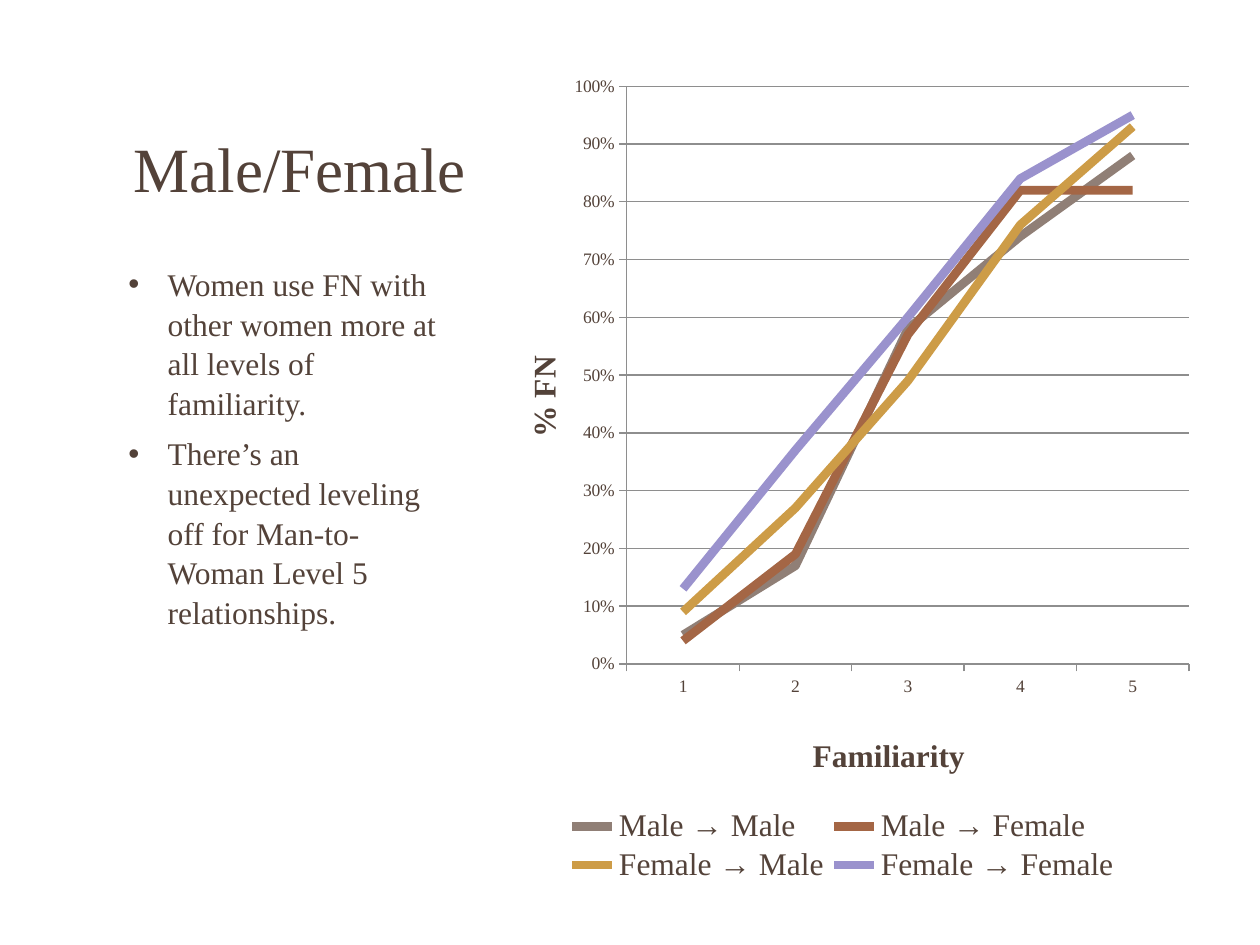
from lxml.etree import SubElement
from pptx import Presentation
from pptx.chart.data import CategoryChartData
from pptx.dml.color import RGBColor
from pptx.enum.chart import XL_CHART_TYPE as ChartType, XL_LEGEND_POSITION as LegendPos
from pptx.enum.chart import XL_MARKER_STYLE as Marker, XL_TICK_MARK as Tick
from pptx.enum.text import MSO_ANCHOR as Anchor, PP_ALIGN as Align
from pptx.oxml import parse_xml
from pptx.oxml.ns import nsdecls, qn
from pptx.util import Cm, Pt


def color(value):
    return RGBColor.from_string(value)


def apply(target, values):
    for name, value in values.items():
        setattr(target, name, value)


def place(parent, index, inner=False, **fractions):
    """Give a chart part a fixed place, in fractions of the chart."""
    for old in parent.findall(qn("c:layout")):
        parent.remove(old)
    target = '<c:layoutTarget val="inner"/>' if inner else ""
    modes = "".join(f'<c:{key}Mode val="edge"/>' for key in "xy")
    sizes = "".join(f'<c:{key} val="{value}"/>' for key, value in fractions.items())
    parent.insert(index, parse_xml(
        f'<c:layout {nsdecls("c")}><c:manualLayout>{target}{modes}{sizes}'
        "</c:manualLayout></c:layout>"))


class SlideBuilder:
    font = "Times New Roman"
    ink = "534239"
    grid = "8E8E8E"

    def __init__(self, page):
        self.page = page

    def style(self, font, size, bold=False):
        apply(font, {"name": self.font, "size": Pt(size), "bold": bold})
        font.color.rgb = color(self.ink)

    def text(self, place_cm, lines, size, frame_format, para_format, bullet=None):
        box = self.page.shapes.add_textbox(*map(Cm, place_cm))
        frame = box.text_frame
        apply(frame, {"word_wrap": True, **frame_format})
        for number, line in enumerate(lines):
            para = frame.add_paragraph() if number else frame.paragraphs[0]
            apply(para, para_format)
            span = para.add_run()
            span.text = line
            self.style(span.font, size)
            if bullet:
                props = para._p.get_or_add_pPr()
                props.set("marL", str(Cm(0.79)))
                props.set("indent", str(-Cm(0.79)))
                SubElement(props, qn("a:buFont"), typeface="Arial")
                SubElement(props, qn("a:buChar"), char=bullet)

    def axis(self, axis, title, x, y):
        axis.has_title = True
        frame = axis.axis_title.text_frame
        frame.text = title
        self.style(frame.paragraphs[0].runs[0].font, 18, bold=True)
        place(axis.axis_title._element, 1, x=x, y=y)
        axis.major_tick_mark = Tick.OUTSIDE
        axis.minor_tick_mark = Tick.NONE
        self.style(axis.tick_labels.font, 10)
        self.line(axis.format.line, self.grid, 0.75)

    def line(self, line, value, width):
        line.color.rgb = color(value)
        line.width = Pt(width)

    def line_chart(self, place_cm, categories, series):
        data = CategoryChartData(number_format="0%")
        data.categories = categories
        for name, _, values in series:
            data.add_series(name, [value / 100 for value in values])
        chart = self.page.shapes.add_chart(
            ChartType.LINE, *map(Cm, place_cm), data).chart
        chart.has_title = False
        self.style(chart.font, 10)
        place(chart._chartSpace.chart.plotArea, 0, inner=True,
              x=0.2, y=0.03, w=0.78, h=0.7)

        # Axes
        self.axis(chart.category_axis, "Familiarity", 0.45, 0.81)
        levels = chart.value_axis
        self.axis(levels, "% FN", 0.05, 0.35)
        apply(levels, {"minimum_scale": 0, "maximum_scale": 1, "major_unit": 0.1,
                       "has_major_gridlines": True})
        apply(levels.tick_labels, {"number_format": "0%",
                                   "number_format_is_linked": False})
        self.line(levels.major_gridlines.format.line, self.grid, 0.75)

        # Lines
        for plotted, (_, value, _) in zip(chart.plots[0].series, series):
            plotted.smooth = False
            plotted.marker.style = Marker.NONE
            self.line(plotted.format.line, value, 5)

        # Legend
        chart.has_legend = True
        apply(chart.legend, {"position": LegendPos.BOTTOM, "include_in_layout": False})
        self.style(chart.legend.font, 18)
        place(chart.legend._element, 1, x=0.11, y=0.9, w=0.78, h=0.1)


deck = Presentation()
apply(deck, {"slide_width": Cm(25.4), "slide_height": Cm(19.05)})
slide = SlideBuilder(deck.slides.add_slide(deck.slide_layouts[6]))

# Title
slide.text((2.34, 2.54, 7.42, 1.65), ["Male/Female"], 36,
           {"vertical_anchor": Anchor.BOTTOM, "margin_bottom": Cm(0.05)},
           {"alignment": Align.CENTER})

# Findings
slide.text((2.34, 5.18, 6.99, 11.18),
           ["Women use FN with other women more at all levels of familiarity.",
            "There’s an unexpected leveling off for Man-to-Woman Level 5 relationships."],
           18, {"margin_right": Cm(0.38)},
           {"space_before": Pt(6), "line_spacing": 1.05}, bullet="•")

# First-name use by familiarity
slide.line_chart((9.73, 1.24, 14.53, 16.64), ["1", "2", "3", "4", "5"], [
    ("Male → Male", "907F76", (5, 17, 58, 74, 88)),
    ("Male → Female", "A46645", (4, 19, 57, 82, 82)),
    ("Female → Male", "CD9C47", (9, 27, 49, 76, 93)),
    ("Female → Female", "9A92CD", (13, 37, 60, 84, 95)),
])

deck.save("out.pptx")
